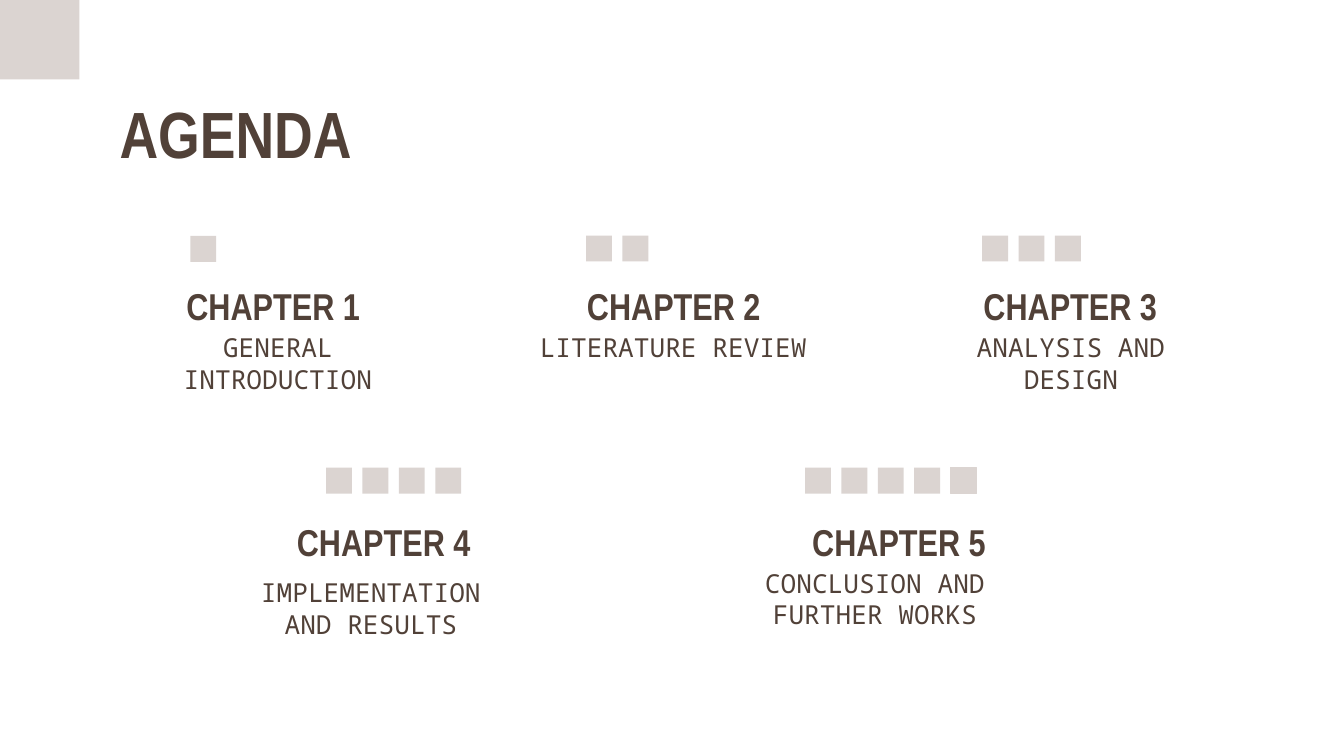
from dataclasses import dataclass

from pptx import Presentation
from pptx.dml.color import RGBColor
from pptx.enum.shapes import MSO_SHAPE
from pptx.enum.text import MSO_ANCHOR, PP_ALIGN
from pptx.util import Pt

RECTANGLE = MSO_SHAPE.RECTANGLE
TOP = MSO_ANCHOR.TOP
LEFT = PP_ALIGN.LEFT
CENTER = PP_ALIGN.CENTER


@dataclass(frozen=True)
class Theme:
    ink: RGBColor = RGBColor(0x51, 0x41, 0x38)
    accent: RGBColor = RGBColor(0xDB, 0xD4, 0xD1)
    background: RGBColor = RGBColor(0xFF, 0xFF, 0xFF)
    heading_font: str = "Arial Narrow"
    body_font: str = "Noto Sans Mono"
    title_size: int = 35
    chapter_size: int = 20
    body_size: int = 14
    inset: float = 7.2
    marker: float = 13.9
    marker_pitch: float = 19.5


class AgendaSlide:
    def __init__(self, slide, theme):
        self.slide = slide
        self.theme = theme
        slide.background.fill.solid()
        slide.background.fill.fore_color.rgb = theme.background

    def square(self, left, top, side, outlined=False):
        shape = self.slide.shapes.add_shape(
            RECTANGLE, Pt(left), Pt(top), Pt(side), Pt(side))
        shape.shadow.inherit = False
        shape.fill.solid()
        shape.fill.fore_color.rgb = self.theme.accent
        if outlined:
            shape.line.color.rgb = self.theme.accent
            shape.line.width = Pt(0.75)
        else:
            shape.line.fill.background()

    def text(self, content, left, top, width, height, size, heading=True, align=CENTER):
        box = self.slide.shapes.add_textbox(Pt(left), Pt(top), Pt(width), Pt(height))
        frame = box.text_frame
        frame.word_wrap = True
        frame.vertical_anchor = TOP
        inset = Pt(self.theme.inset)
        frame.margin_left = frame.margin_right = inset
        frame.margin_top = frame.margin_bottom = inset
        paragraph = frame.paragraphs[0]
        paragraph.text = content
        paragraph.alignment = align
        font = paragraph.font
        font.name = self.theme.heading_font if heading else self.theme.body_font
        font.size = Pt(size)
        font.bold = heading
        font.color.rgb = self.theme.ink

    def title(self, content):
        self.text(content, 57, 42.5, 314.6, 47.5, self.theme.title_size, align=LEFT)

    def chapter(self, content, left, top, width):
        self.text(content, left, top, width, 33.8, self.theme.chapter_size)

    def topic(self, content, left, top, height):
        self.text(content, left, top, 165.6, height, self.theme.body_size, heading=False)

    def markers(self, count, left, top):
        for index in range(count):
            self.square(left + index * self.theme.marker_pitch, top,
                        self.theme.marker, outlined=index == 4)


CHAPTERS = [
    ("CHAPTER 1 ", (85.7, 144.7, 126), "GENERAL INTRODUCTION", (66.2, 170.6, 47.5), (102, 126.4)),
    ("CHAPTER 2", (298, 144.7, 126), "LITERATURE REVIEW", (278, 170.6, 47.5), (314, 126.2)),
    ("CHAPTER 3", (510.4, 144.7, 126), "ANALYSIS AND DESIGN", (491, 170.6, 47.5), (526.2, 126.2)),
    ("CHAPTER 4", (142.6, 270.7, 126), "IMPLEMENTATION AND RESULTS", (116, 301.7, 44.6), (174.7, 250.6)),
    ("CHAPTER 5", (416.9, 270.7, 129.6), "CONCLUSION AND FURTHER WORKS", (386, 296.6, 44.6), (431.3, 250.6)),
]


def main():
    presentation = Presentation()
    presentation.slide_width = Pt(720)
    presentation.slide_height = Pt(405)
    slide = presentation.slides.add_slide(presentation.slide_layouts[6])
    agenda = AgendaSlide(slide, Theme())
    agenda.square(0, 0, 42.5)
    agenda.title("AGENDA")
    for count, (name, name_box, topic, topic_box, marker_start) in enumerate(CHAPTERS, 1):
        agenda.chapter(name, *name_box)
        agenda.topic(topic, *topic_box)
        agenda.markers(count, *marker_start)
    presentation.save("out.pptx")


if __name__ == "__main__":
    main()
